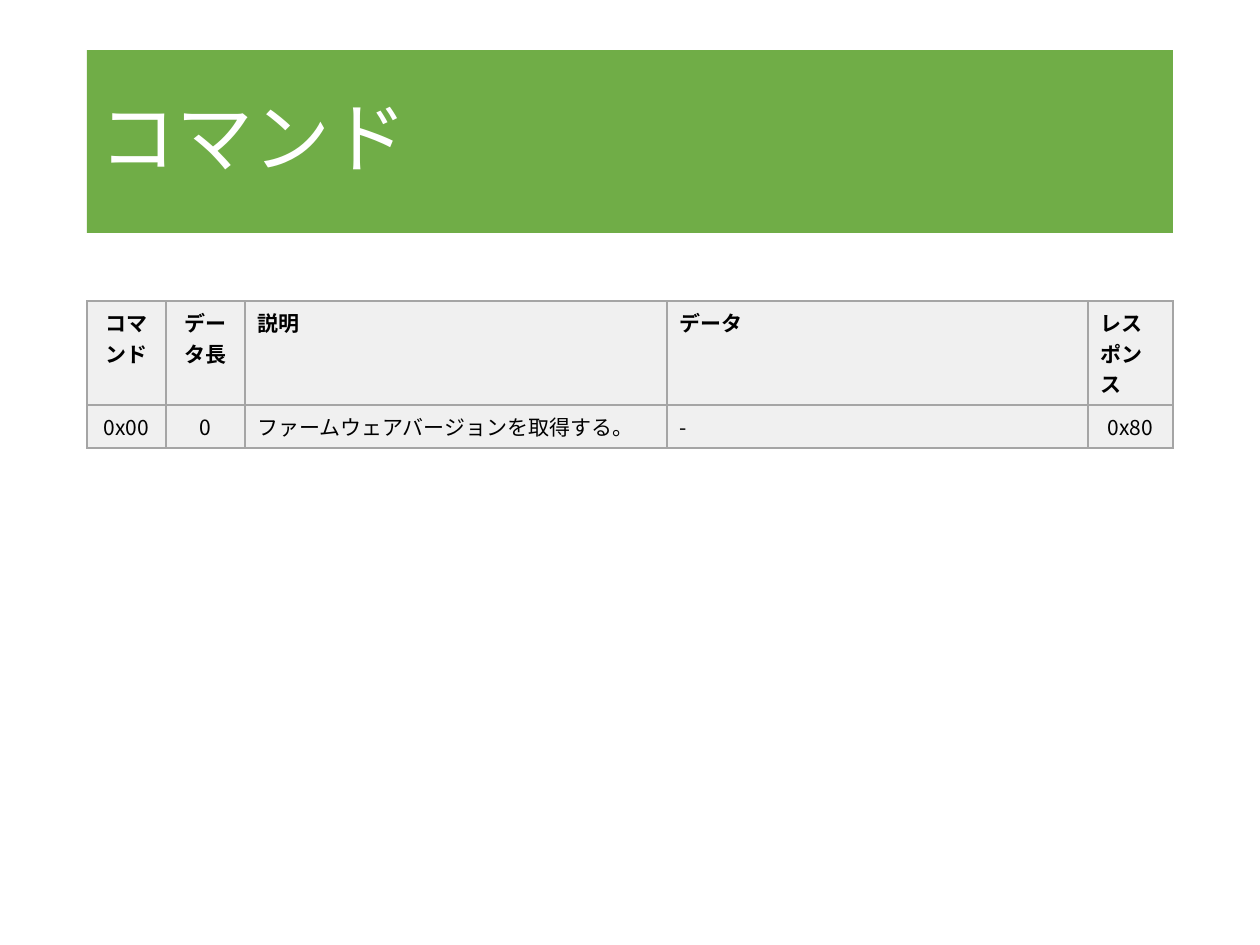
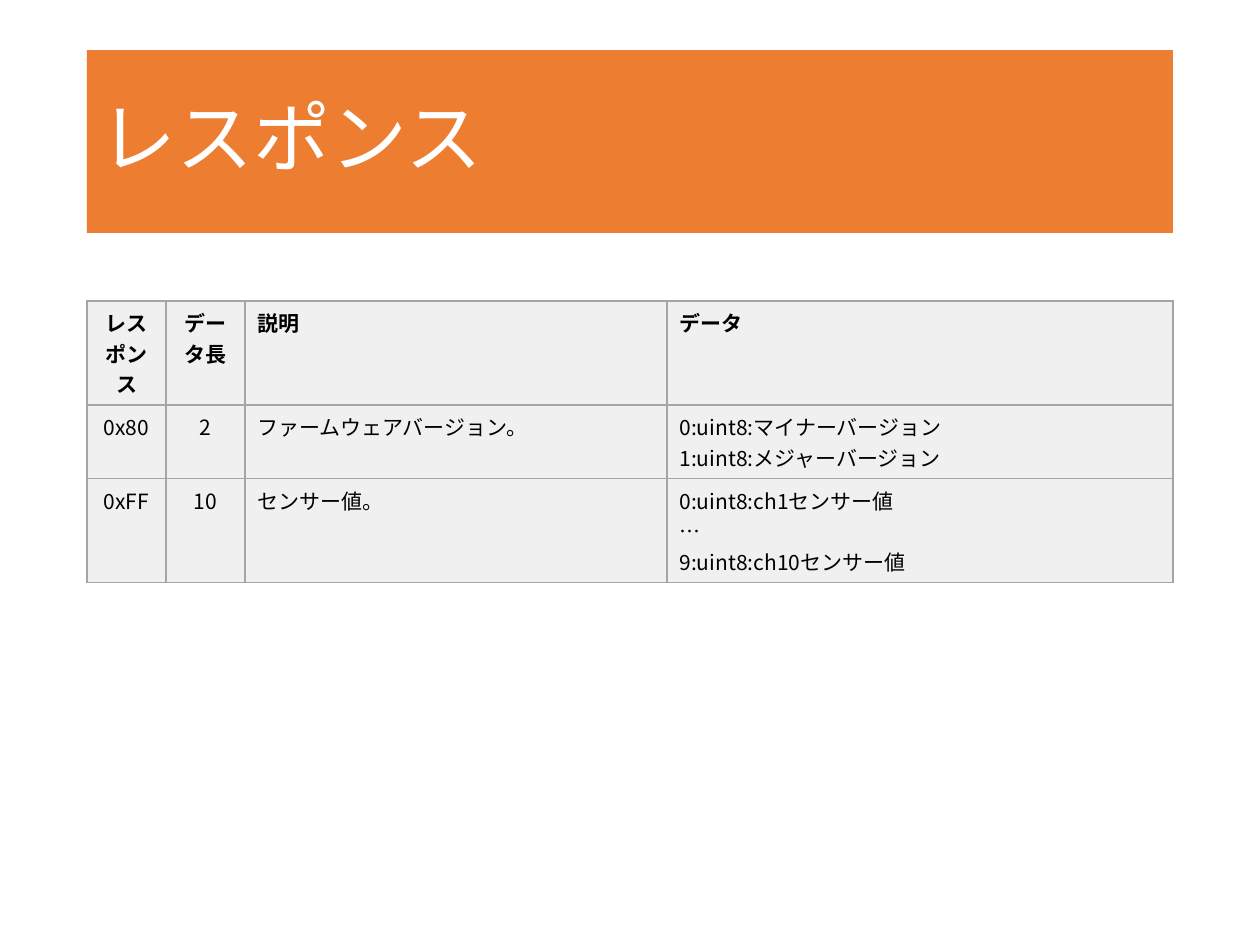
from lxml import etree
from pptx import Presentation
from pptx.dml.color import RGBColor
from pptx.enum.lang import MSO_LANGUAGE_ID
from pptx.enum.shapes import MSO_SHAPE
from pptx.enum.text import MSO_ANCHOR, PP_ALIGN
from pptx.oxml.ns import qn
from pptx.util import Pt

PX = 914400 / 126
SLIDE_SIZE = (1260, 945)
TITLE_BOX = (87, 50, 1086, 183)
TABLE_ORIGIN = (87, 301)
ROW_HEIGHT = 43

FONT = "Noto Sans CJK JP"
GREEN, ORANGE = "70AD47", "ED7D31"
WHITE, BLACK = "FFFFFF", "000000"
CELL_FILL, CELL_BORDER = "F0F0F0", "A5A5A5"

COMMAND_COLUMNS = [79, 79, 422, 421, 85]
COMMAND_ROWS = [
    ["コマンド", "データ長", "説明", "データ", "レスポンス"],
    ["0x00", "0", "ファームウェアバージョンを取得する。", "-", "0x80"],
]
RESPONSE_COLUMNS = [79, 79, 422, 506]
RESPONSE_ROWS = [
    ["レスポンス", "データ長", "説明", "データ"],
    ["0x80", "2", "ファームウェアバージョン。",
     "0:uint8:マイナーバージョン\n1:uint8:メジャーバージョン"],
    ["0xFF", "10", "センサー値。",
     "0:uint8:ch1センサー値\n…\n9:uint8:ch10センサー値"],
]


def px(length):
    return round(length * PX)


def color(hex_code):
    return RGBColor.from_string(hex_code)


def add_run(paragraph, text, size, hex_code, bold=False):
    run = paragraph.add_run()
    run.text = text
    font = run.font
    font.size, font.bold, font.name = Pt(size), bold, FONT
    font.color.rgb = color(hex_code)
    font.language_id = MSO_LANGUAGE_ID.JAPANESE
    # Japanese glyphs take the East Asian typeface
    latin = run._r.rPr.find(qn("a:latin"))
    east_asian = etree.Element(qn("a:ea"), typeface=FONT)
    latin.addnext(east_asian)


def add_title_band(slide, box, title, fill):
    band = slide.shapes.add_shape(MSO_SHAPE.RECTANGLE, *map(px, box))
    band.shadow.inherit = False
    band.fill.solid()
    band.fill.fore_color.rgb = color(fill)
    band.line.fill.background()
    frame = band.text_frame
    frame.word_wrap = True
    frame.vertical_anchor = MSO_ANCHOR.MIDDLE
    heading = frame.paragraphs[0]
    heading.alignment = PP_ALIGN.LEFT
    heading.line_spacing = 0.9
    add_run(heading, title, 44, WHITE)


def set_borders(cell):
    properties = cell._tc.get_or_add_tcPr()
    for index, side in enumerate(("lnL", "lnR", "lnT", "lnB")):
        border = etree.Element(qn(f"a:{side}"), w=str(Pt(1)))
        fill = etree.SubElement(border, qn("a:solidFill"))
        etree.SubElement(fill, qn("a:srgbClr"), val=CELL_BORDER)
        properties.insert(index, border)


def fill_cell(cell, text, centered, bold):
    cell.fill.solid()
    cell.fill.fore_color.rgb = color(CELL_FILL)
    set_borders(cell)
    frame = cell.text_frame
    for index, line in enumerate(text.split("\n")):
        paragraph = frame.add_paragraph() if index else frame.paragraphs[0]
        paragraph.alignment = PP_ALIGN.CENTER if centered else PP_ALIGN.LEFT
        add_run(paragraph, line, 12, BLACK, bold)


def add_packet_table(slide, origin, widths, rows):
    box = (*origin, sum(widths), ROW_HEIGHT * len(rows))
    table = slide.shapes.add_table(len(rows), len(widths), *map(px, box)).table
    table.first_row = table.horz_banding = False
    for column, width in zip(table.columns, widths):
        column.width = px(width)
    for r, texts in enumerate(rows):
        table.rows[r].height = px(ROW_HEIGHT)
        for c, text in enumerate(texts):
            # Code and length are centred, as is the response code below its header
            centered = c < 2 or (c == 4 and r > 0)
            fill_cell(table.cell(r, c), text, centered, bold=r == 0)


def add_packet_slide(deck, title, fill, widths, rows):
    slide = deck.slides.add_slide(deck.slide_layouts[6])
    add_title_band(slide, TITLE_BOX, title, fill)
    add_packet_table(slide, TABLE_ORIGIN, widths, rows)


def main():
    deck = Presentation()
    deck.slide_width, deck.slide_height = map(px, SLIDE_SIZE)
    add_packet_slide(deck, "コマンド", GREEN, COMMAND_COLUMNS, COMMAND_ROWS)
    add_packet_slide(deck, "レスポンス", ORANGE, RESPONSE_COLUMNS, RESPONSE_ROWS)
    deck.save("out.pptx")


if __name__ == "__main__":
    main()
